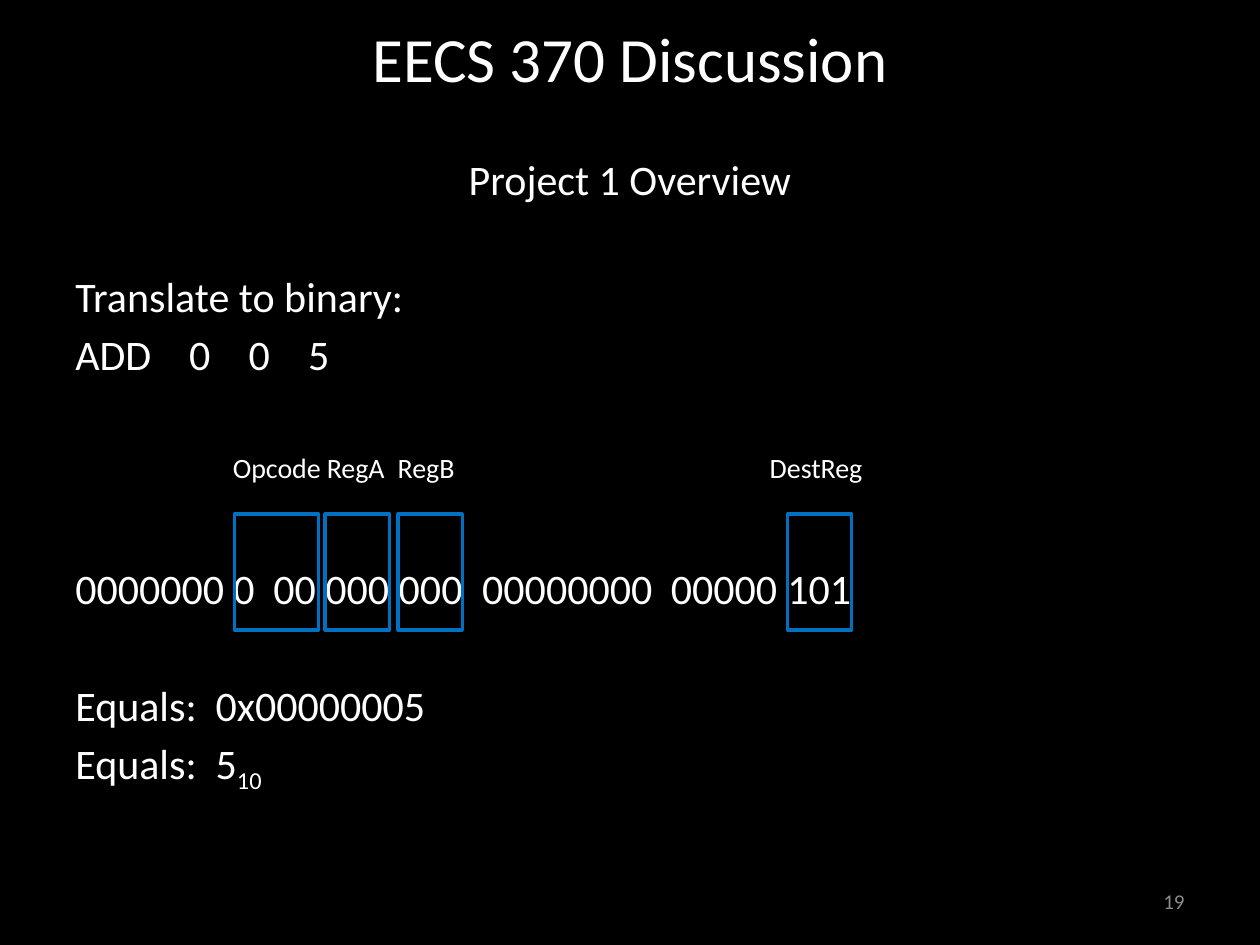
from lxml import etree
from pptx import Presentation
from pptx.dml.color import RGBColor
from pptx.enum import shapes, text
from pptx.oxml.ns import qn
from pptx.util import Pt

BLACK = RGBColor(0x00, 0x00, 0x00)
WHITE = RGBColor(0xFF, 0xFF, 0xFF)
GRAY = RGBColor(0x8C, 0x8C, 0x8C)
BLUE = RGBColor(0x00, 0x70, 0xC0)
LEFT, CENTER, RIGHT = (text.PP_ALIGN.LEFT, text.PP_ALIGN.CENTER,
                       text.PP_ALIGN.RIGHT)
TOP, MIDDLE = text.MSO_ANCHOR.TOP, text.MSO_ANCHOR.MIDDLE

# Content: columns are (offset from the text edge, text); offset 0 needs no tab
TITLE = "EECS 370 Discussion"
NUMBER = "19"
NEAR, FAR = 4.4, 38.1  # space before a following line, before a new group
ROWS = [  # columns, size, alignment, space before
    ([(0, "Project 1 Overview")], 24, CENTER, 0),
    ([(0, "Translate to binary:")], 24, LEFT, FAR),
    ([(0, "ADD"), (65, "0"), (99, "0"), (133, "5")], 24, LEFT, NEAR),
    ([(90, "Opcode"), (143.7, "RegA"), (184.2, "RegB"), (396.8, "DestReg")],
     16, LEFT, 41),
    ([(0, "0000000"), (90.3, "0"), (113.2, "00"), (142.9, "000"),
      (184.8, "000"), (232.5, "00000000"), (340.3, "00000"), (406.9, "101")],
     24, LEFT, 44.4),
    ([(0, "Equals:"), (80.2, "0x00000005")], 24, LEFT, FAR),
    ([(0, "Equals:"), (80.2, "5")], 24, LEFT, NEAR),
]
BASE = "10"  # subscript on the last row
FIELDS = [(133.9, 48.2), (185.8, 36.7), (227.5, 36.7), (450, 36.7)]
FIELD_TOP, FIELD_HEIGHT = 293.8, 66.2


def add_run(p, words, size, color=WHITE):
    r = p.add_run()
    r.text = words
    r.font.name = "Calibri"
    r.font.size = Pt(size)
    r.font.color.rgb = color
    return r


def add_box(s, left, top, width, height, anchor):
    tf = s.shapes.add_textbox(Pt(left), Pt(top), Pt(width), Pt(height)).text_frame
    tf.word_wrap = True
    tf.vertical_anchor = anchor
    return tf


def add_line(s, place, words, size, align, color):
    p = add_box(s, *place, MIDDLE).paragraphs[0]
    p.alignment = align
    add_run(p, words, size, color)


def add_row(p, columns, size, align, before):
    p.alignment = align
    p.space_before = Pt(before)
    stops = [x for x, _ in columns if x]
    if stops:
        tabs = etree.SubElement(p._p.get_or_add_pPr(), qn("a:tabLst"))
        for x in stops:
            etree.SubElement(tabs, qn("a:tab"), pos=str(Pt(x)), algn="l")
    for x, words in columns:
        add_run(p, "\t" + words if x else words, size)


prs = Presentation()
prs.slide_width, prs.slide_height = Pt(720), Pt(540)
s = prs.slides.add_slide(prs.slide_layouts[6])
s.background.fill.solid()
s.background.fill.fore_color.rgb = BLACK

# Title and slide number
add_line(s, (36, -12.2, 648, 90), TITLE, 36, CENTER, WHITE)
add_line(s, (516, 500.5, 168, 28.8), NUMBER, 12, RIGHT, GRAY)

# Body text
tf = add_box(s, 36, 84.2, 648, 426.2, TOP)
for i, row in enumerate(ROWS):
    p = tf.add_paragraph() if i else tf.paragraphs[0]
    add_row(p, *row)
add_run(p, BASE, 24).font._element.set("baseline", "-25000")

# Frames around the instruction fields
for left, width in FIELDS:
    sp = s.shapes.add_shape(shapes.MSO_SHAPE.RECTANGLE, Pt(left), Pt(FIELD_TOP),
                            Pt(width), Pt(FIELD_HEIGHT))
    sp.shadow.inherit = False
    sp.fill.background()
    sp.line.color.rgb = BLUE
    sp.line.width = Pt(2)

prs.save("out.pptx")
